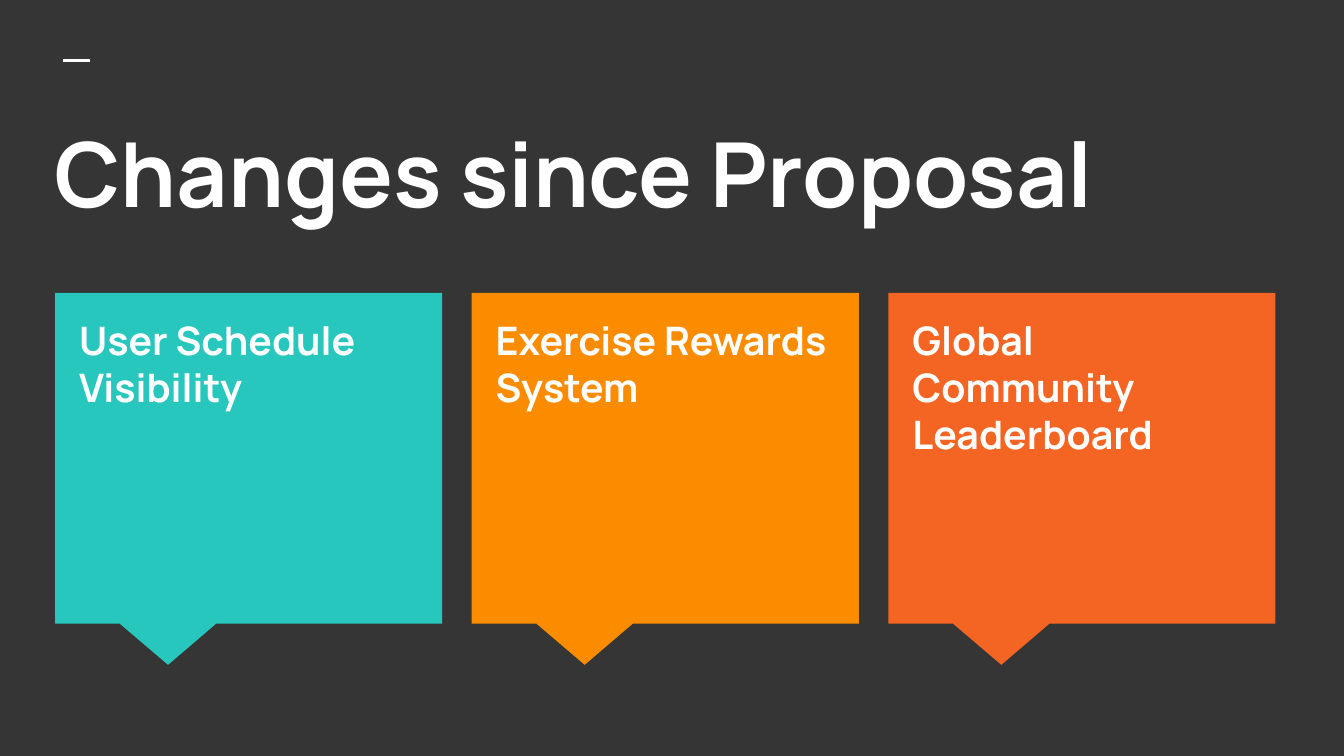
from pptx import Presentation
from pptx.dml.color import RGBColor
from pptx.enum.shapes import MSO_CONNECTOR, MSO_SHAPE
from pptx.enum.text import MSO_ANCHOR
from pptx.oxml.ns import qn
from pptx.util import Inches, Pt
from lxml.etree import SubElement

CHARCOAL = RGBColor(0x35, 0x35, 0x35)
WHITE = RGBColor(0xFF, 0xFF, 0xFF)
TEAL = RGBColor(0x27, 0xC7, 0xBD)
AMBER = RGBColor(0xFB, 0x8C, 0x00)
ORANGE = RGBColor(0xF4, 0x65, 0x24)

CHANGES = [
    ("User Schedule Visibility", TEAL),
    ("Exercise Rewards System", AMBER),
    ("Global Community Leaderboard", ORANGE),
]
FIRST_LEFT = 0.41
CARD_PITCH = 3.1


class ChangesSlide:
    """Draws styled elements on one dark slide."""

    font = "Manrope"
    inset = Inches(0.1)

    def __init__(self, presentation):
        self.slide = presentation.slides.add_slide(presentation.slide_layouts[6])
        background = self.slide.background.fill
        background.solid()
        background.fore_color.rgb = CHARCOAL

    def rule(self, left, top, length):
        accent = self.slide.shapes.add_connector(
            MSO_CONNECTOR.STRAIGHT,
            Inches(left), Inches(top), Inches(left + length), Inches(top))
        accent.line.color.rgb = WHITE
        accent.line.width = Pt(1.5)
        SubElement(accent._element.spPr, qn("a:effectLst"))

    def heading(self, words, left, top, width, height, size):
        heading = self.slide.shapes.add_textbox(
            Inches(left), Inches(top), Inches(width), Inches(height))
        frame = heading.text_frame
        frame.word_wrap = True
        frame.vertical_anchor = MSO_ANCHOR.TOP
        frame.margin_left = frame.margin_right = self.inset
        frame.margin_top = frame.margin_bottom = self.inset
        run = frame.paragraphs[0].add_run()
        run.text = words
        run.font.name = self.font
        run.font.size = Pt(size)
        run.font.bold = True
        run.font.color.rgb = WHITE

    def callout(self, left, top, width, height, color):
        callout = self.slide.shapes.add_shape(
            MSO_SHAPE.RECTANGULAR_CALLOUT,
            Inches(left), Inches(top), Inches(width), Inches(height))
        callout.adjustments[0] = -0.208
        callout.adjustments[1] = 0.625
        callout.shadow.inherit = False
        callout.fill.solid()
        callout.fill.fore_color.rgb = color
        callout.line.fill.background()


def main():
    presentation = Presentation()
    presentation.slide_width = Inches(10)
    presentation.slide_height = Inches(10) * 9 // 16

    slide = ChangesSlide(presentation)
    slide.rule(0.47, 0.45, 0.2)
    slide.heading("Changes since Proposal", 0.31, 0.78, 9.43, 1.12, 48)
    for index, (change, color) in enumerate(CHANGES):
        left = FIRST_LEFT + index * CARD_PITCH
        slide.callout(left, 2.18, 2.88, 2.46, color)
        slide.heading(change, left + 0.08, 2.25, 2.71, 2.19, 21)

    presentation.save("out.pptx")


if __name__ == "__main__":
    main()
